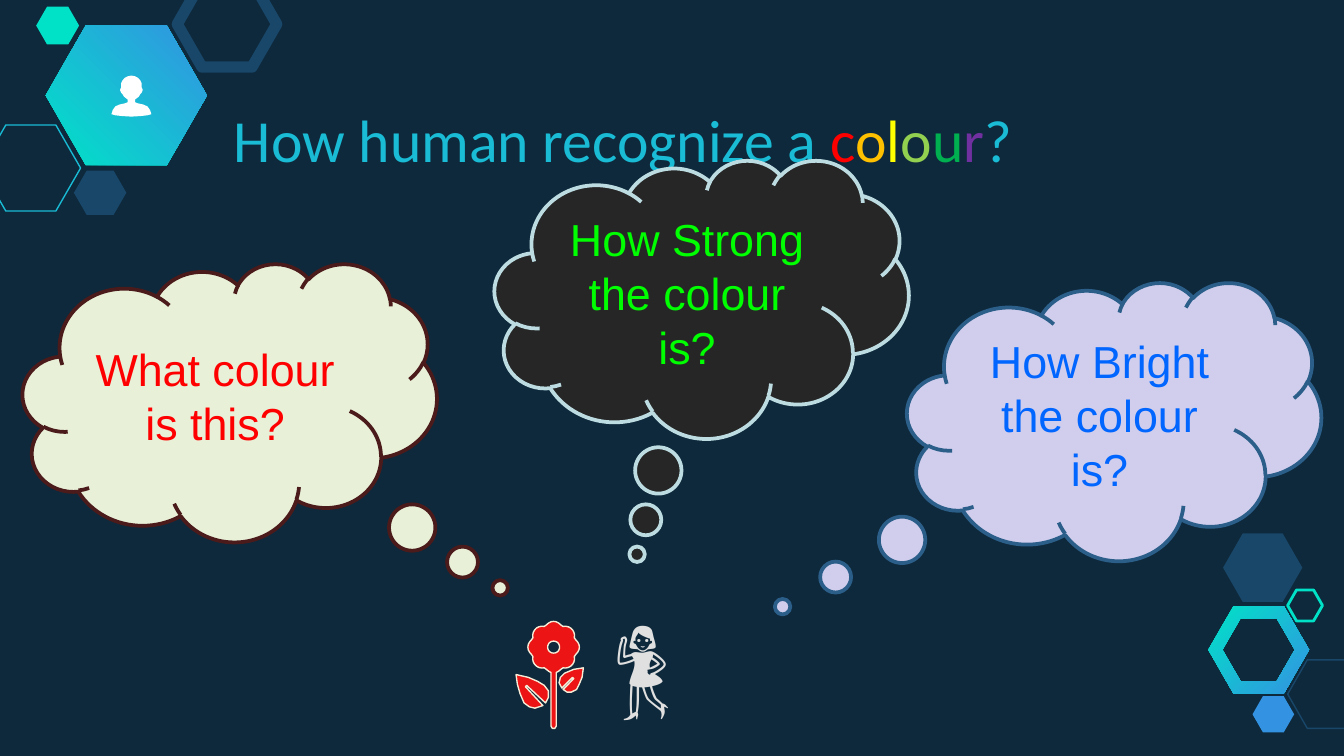
from math import cos, sin, radians

from pptx import Presentation
from pptx.dml.color import RGBColor
from pptx.enum.shapes import MSO_SHAPE
from pptx.enum.text import MSO_ANCHOR, MSO_AUTO_SIZE, PP_ALIGN
from pptx.util import Pt

NAVY, STEEL, CYAN, TEAL, BLUE = "0E293C", "184769", "19BBD5", "00E2C7", "3393E2"
RED, CREAM, WHITE = "EC1414", "F7ECD7", "FFFFFF"

# Title text, one colour per run
TITLE = [("How human recognize a ", CYAN), ("c", "FF0000"), ("o", "FFC000"),
         ("l", "FFFF00"), ("o", "92D050"), ("u", "00B050"), ("r", "7030A0"),
         ("?", CYAN)]

# Thought clouds: left, top, tail position, text, fill, line, text colour
CLOUDS = [
    (265, 85.7, (-0.156, 0.918), "How Strong the colour is?", "262626", "BCDCE1", "00FF00"),
    (12.2, 141.1, (0.653, 0.667), "What colour is this?", "E8F0D8", "4B1A1A", "FF0000"),
    (486, 151.2, (-0.801, 0.667), "How Bright the colour is?", "D1CDED", "2B5F8A", "0066FF"),
]

# Hexagons: left, top, width, height, fill, line, line width
HEXAGONS = [
    (-10.1, 67, 53.3, 46.1, None, CYAN, 0.75),
    (39.6, 91.4, 28.1, 23.8, STEEL, None, 0),
    (95, -10.1, 53.3, 46.1, None, STEEL, 6),
    (19.4, 3.6, 23, 20.2, TEAL, None, 0),
    (689.8, 353.5, 42.5, 36.7, None, STEEL, 0.75),
    (671, 373, 22.3, 19.4, BLUE, None, 0),
    (655.2, 285.8, 42.5, 36.7, STEEL, None, 0),
    (689.8, 316.1, 18.7, 16.6, None, TEAL, 1.5),
]

# Right side of the bust, as offsets from its axis
BUST_AXIS = 70.4
BUST = [(0, 40.5), (2, 40.9), (3.5, 41.7), (4.8, 43.1), (5.5, 44.6), (5.5, 46.8),
        (6.1, 48.2), (5.5, 49.7), (4.8, 50.4), (4, 51.8), (2, 53.3), (2, 54.8),
        (3.5, 55.4), (6.3, 56), (8.6, 57), (10, 59), (10.7, 61.2), (8.6, 61.8),
        (5, 62.2), (0, 62.5)]

RIGHT_LEAF = [(312.5, 357.8), (307.4, 358.6), (302.4, 360.7), (300.2, 362.9),
              (299.5, 365.8), (301, 368.6), (306.7, 362.9), (307.4, 363.6),
              (301.7, 369.4), (303.8, 370.8), (306, 370.8), (308.9, 369.4),
              (310.3, 366.5), (311.8, 362.9)]
LEFT_LEAF = [(276.5, 361.4), (277.2, 366.5), (278.6, 371.5), (280.8, 376.6),
             (283.7, 378.7), (286.6, 379.4), (290.9, 378), (281.5, 367.9),
             (282.2, 367.2), (292.3, 376.6), (293.8, 373.7), (293.8, 370.1),
             (291.6, 367.2), (288, 365), (283, 362.9)]


def rgb(value):
    return RGBColor.from_string(value)


def style(sp, fill=None, line=None, width=0):
    sp.shadow.inherit = False
    if fill:
        sp.fill.solid()
        sp.fill.fore_color.rgb = rgb(fill)
    else:
        sp.fill.background()
    if line:
        sp.line.color.rgb = rgb(line)
        sp.line.width = Pt(width)
    else:
        sp.line.fill.background()


def gradient(sp, angle):
    sp.fill.gradient()
    sp.fill.gradient_angle = angle
    for stop, color in zip(sp.fill.gradient_stops, (TEAL, BLUE)):
        stop.color.rgb = rgb(color)
    sp.fill.gradient_stops[0].position = 0
    sp.fill.gradient_stops[1].position = 1


def set_font(r, name, size, color):
    r.font.name = name
    r.font.size = Pt(size)
    r.font.color.rgb = rgb(color)


def add_hexagon(s, left, top, width, height, fill, line, line_width):
    sp = s.shapes.add_shape(MSO_SHAPE.HEXAGON, Pt(left), Pt(top), Pt(width), Pt(height))
    sp.adjustments[0] = 0.287
    style(sp, fill, line, line_width)
    return sp


def add_outline(s, *contours, fill=None, line=None, width=0):
    """Draw closed contours given in points, to a tenth of a point."""
    scaled = [[(x * 10, y * 10) for x, y in c] for c in contours]
    builder = s.shapes.build_freeform(*scaled[0][0], scale=Pt(0.1))
    for i, c in enumerate(scaled):
        if i:
            builder.move_to(*c[0])
        builder.add_line_segments(c[1:], close=True)
    sp = builder.convert_to_shape()
    style(sp, fill, line, width)
    return sp


def circle_points(cx, cy, radius, degrees):
    """Points round a centre; radius is a function of the angle."""
    return [(cx + radius(a) * cos(radians(a)), cy + radius(a) * sin(radians(a)))
            for a in degrees]


def add_title(s):
    sp = s.shapes.title
    sp.left, sp.top, sp.width, sp.height = Pt(112.3), Pt(49), Pt(496), Pt(64.8)
    tf = sp.text_frame
    tf.auto_size = MSO_AUTO_SIZE.NONE
    tf.vertical_anchor = MSO_ANCHOR.TOP
    tf.margin_left, tf.margin_top = Pt(13), Pt(6)
    p = tf.paragraphs[0]
    p.alignment = PP_ALIGN.LEFT
    for text, color in TITLE:
        r = p.add_run()
        r.text = text
        set_font(r, "Calibri", 32, color)


def add_cloud(s, left, top, tail, text, fill, line, color):
    sp = s.shapes.add_shape(MSO_SHAPE.CLOUD_CALLOUT, Pt(left), Pt(top), Pt(221.8), Pt(149))
    sp.adjustments[0], sp.adjustments[1] = tail
    style(sp, fill, line, 2)
    tf = sp.text_frame
    tf.word_wrap = True
    tf.vertical_anchor = MSO_ANCHOR.MIDDLE
    tf.text = text
    p = tf.paragraphs[0]
    p.alignment = PP_ALIGN.CENTER
    set_font(p.runs[0], "Arial", 24, color)


def add_flower(s):
    cx, cy = 296.6, 346.7
    # Eight petals, open at the bottom where the stem joins
    head = circle_points(cx, cy, lambda a: 12 + 1.8 * abs(cos(radians(4 * a))),
                         range(96, 445, 6))
    stem = [(cx + 1.4, 389), (cx + 0.7, 390.2), (cx - 0.7, 390.2), (cx - 1.4, 389)]
    eye = circle_points(cx, cy, lambda a: 3.2, range(360, 0, -15))
    for contours in ([RIGHT_LEAF], [LEFT_LEAF], [head + stem, eye]):
        add_outline(s, *contours, fill=RED, line=CREAM, width=0.75)


def add_dancer(s):
    sp = s.shapes.add_textbox(Pt(321.1), Pt(317.5), Pt(54), Pt(72.7))
    tf = sp.text_frame
    tf.word_wrap = True
    tf.text = "💃"
    set_font(tf.paragraphs[0].runs[0], "Lato", 54, "E0E0E0")


def add_decoration(s):
    # Ring with a hexagonal hole
    outer, inner = [circle_points(674.3, 348.1, lambda a: radius, degrees)
                    for radius, degrees in ((27, range(0, 360, 60)),
                                            (19.4, range(360, 0, -60)))]
    gradient(add_outline(s, outer, inner), 315)
    # Large badge and the small hexagons
    gradient(add_hexagon(s, 24.5, 13.7, 86.4, 74.9, None, None, 0), 45)
    for hexagon in HEXAGONS:
        add_hexagon(s, *hexagon)
    # Bust on the badge
    right = [(BUST_AXIS + x, y) for x, y in BUST]
    left = [(BUST_AXIS - x, y) for x, y in BUST[-2:0:-1]]
    add_outline(s, right + left, fill=WHITE)


def main():
    prs = Presentation()
    prs.slide_width, prs.slide_height = Pt(720), Pt(405)
    s = prs.slides.add_slide(prs.slide_layouts[5])
    s.background.fill.solid()
    s.background.fill.fore_color.rgb = rgb(NAVY)

    add_decoration(s)
    add_title(s)
    for cloud in CLOUDS:
        add_cloud(s, *cloud)
    add_dancer(s)
    add_flower(s)
    prs.save("out.pptx")


if __name__ == "__main__":
    main()
